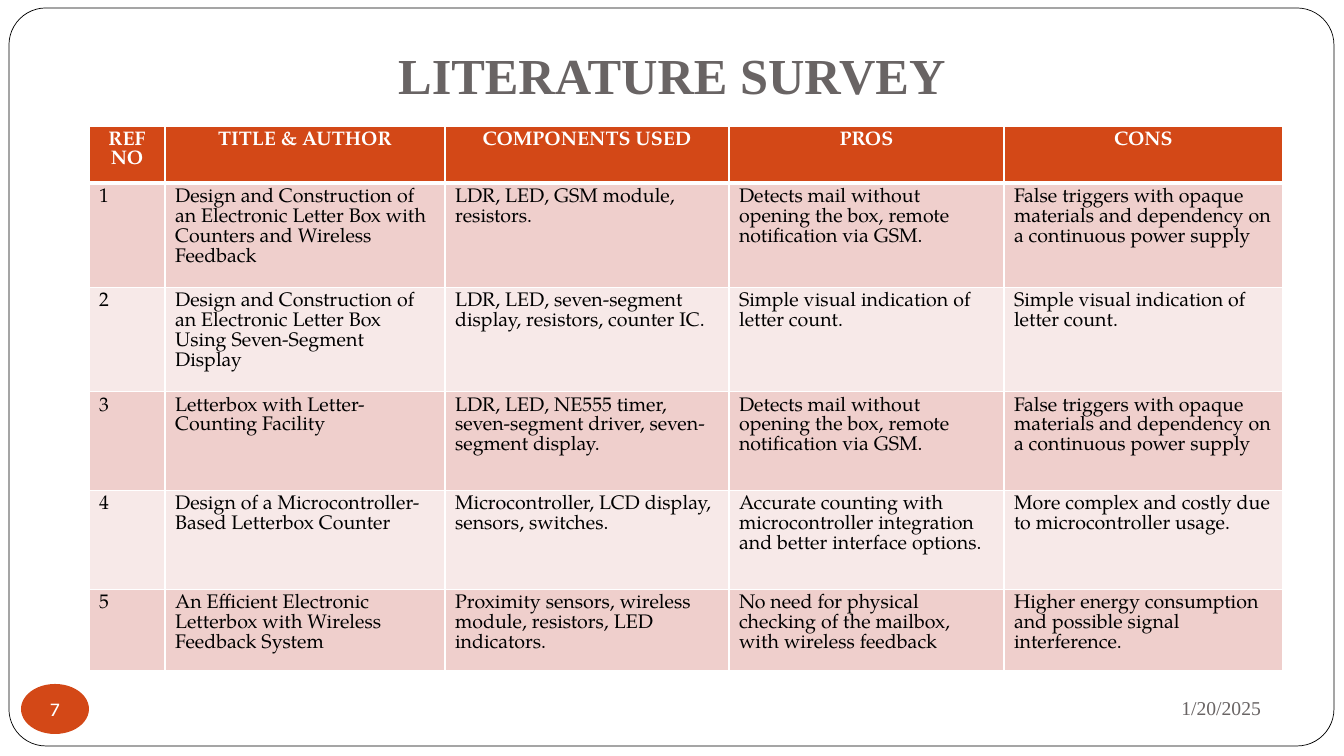
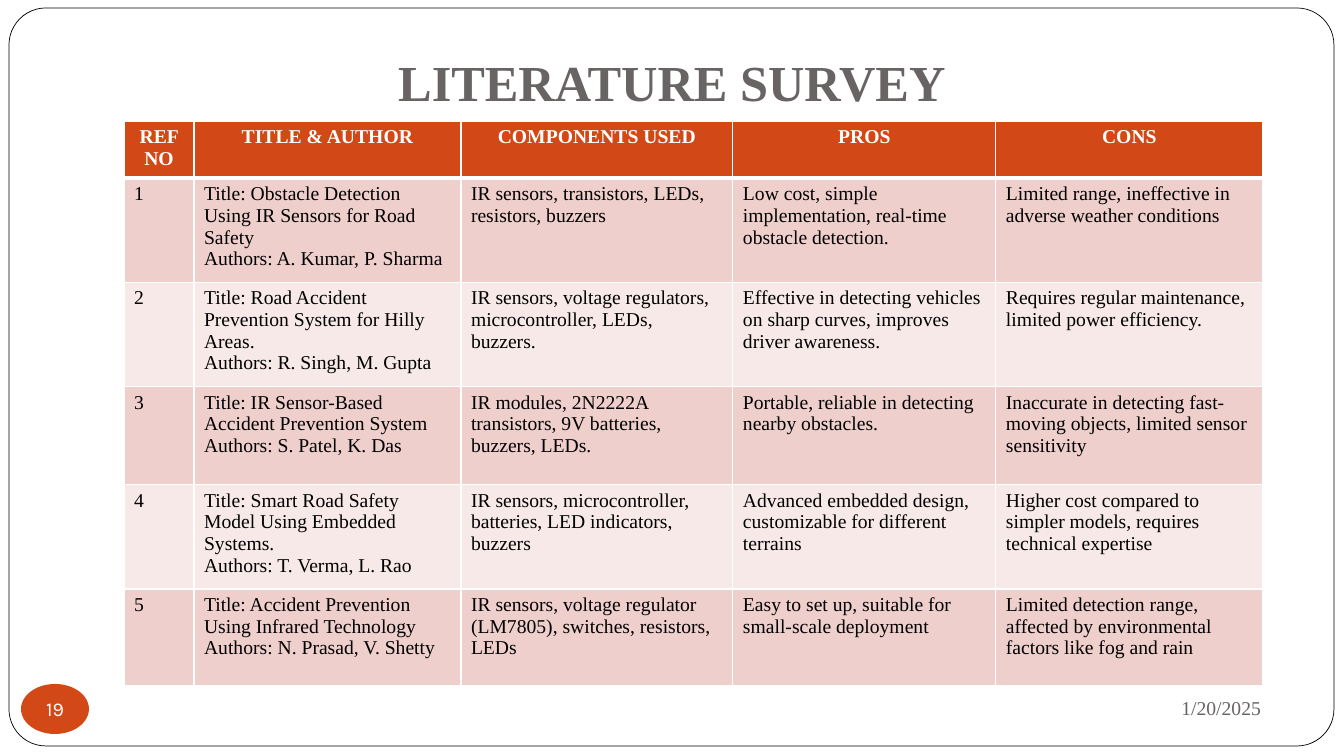
import pptx
import pptx.util
import pptx.dml.color
import pptx.enum.shapes
import pptx.enum.text
import pptx.oxml
import pptx.oxml.ns

PX = 12192000 / 1344
HUES = {"ink": "000000", "paper": "FFFFFF", "gray": "696464",
        "rust": "D34817", "rose": "EFCFCC", "blush": "F7E9E8"}
SERIF = "Times New Roman"
ALIGN = pptx.enum.text.PP_ALIGN
ANCHOR = pptx.enum.text.MSO_ANCHOR
SHAPE = pptx.enum.shapes.MSO_SHAPE
HEADS = ["REF NO", "TITLE & AUTHOR", "COMPONENTS USED", "PROS", "CONS"]

GSM_PRO = "Detects mail without opening the box, remote notification via GSM."
GSM_CON = "False triggers with opaque materials and dependency on a continuous power supply"
COUNT = "Simple visual indication of letter count."

PAGES = [
    {"page": "7", "base": 115, "font": "TeX Gyre Pagella", "left": 89, "top": 126,
     "cols": [76, 280, 284, 275, 279], "rows": [53, 99, 99, 99, 99, 76],
     "body": [
         ["Design and Construction of an Electronic Letter Box with Counters and Wireless Feedback",
          "LDR, LED, GSM module, resistors.", GSM_PRO, GSM_CON],
         ["Design and Construction of an Electronic Letter Box Using Seven-Segment Display",
          "LDR, LED, seven-segment display, resistors, counter IC.", COUNT, COUNT],
         ["Letterbox with Letter-Counting Facility",
          "LDR, LED, NE555 timer, seven-segment driver, seven-segment display.",
          GSM_PRO, GSM_CON],
         ["Design of a Microcontroller-Based Letterbox Counter",
          "Microcontroller, LCD display, sensors, switches.",
          "Accurate counting with microcontroller integration and better interface options.",
          "More complex and costly due to microcontroller usage."],
         ["An Efficient Electronic Letterbox with Wireless Feedback System",
          "Proximity sensors, wireless module, resistors, LED indicators.",
          "No need for physical checking of the mailbox, with wireless feedback",
          "Higher energy consumption and possible signal interference."],
     ]},
    {"page": "19", "base": 122, "font": SERIF, "left": 124, "top": 121,
     "cols": [70, 267, 272, 263, 267], "rows": [53, 99, 99, 98, 99, 97],
     "body": [
         ["Title: Obstacle Detection Using IR Sensors for Road Safety\nAuthors: A. Kumar, P. Sharma",
          "IR sensors, transistors, LEDs, resistors, buzzers",
          "Low cost, simple implementation, real-time obstacle detection.",
          "Limited range, ineffective in adverse weather conditions"],
         ["Title: Road Accident Prevention System for Hilly Areas.\nAuthors: R. Singh, M. Gupta",
          "IR sensors, voltage regulators, microcontroller, LEDs, buzzers.",
          "Effective in detecting vehicles on sharp curves, improves driver awareness.",
          "Requires regular maintenance, limited power efficiency."],
         ["Title: IR Sensor-Based Accident Prevention System\nAuthors: S. Patel, K. Das",
          "IR modules, 2N2222A transistors, 9V batteries, buzzers, LEDs.",
          "Portable, reliable in detecting nearby obstacles.",
          "Inaccurate in detecting fast-moving objects, limited sensor sensitivity"],
         ["Title: Smart Road Safety Model Using Embedded Systems.\nAuthors: T. Verma, L. Rao",
          "IR sensors, microcontroller, batteries, LED indicators, buzzers",
          "Advanced embedded design, customizable for different terrains",
          "Higher cost compared to simpler models, requires technical expertise"],
         ["Title: Accident Prevention Using Infrared Technology\nAuthors: N. Prasad, V. Shetty",
          "IR sensors, voltage regulator (LM7805), switches, resistors, LEDs",
          "Easy to set up, suitable for small-scale deployment",
          "Limited detection range, affected by environmental factors like fog and rain"],
     ]},
]


def emu(*spans):
    return [pptx.util.Emu(round(span * PX)) for span in spans]


def write(frame, text, font, hue, align, size=14, bold=False):
    frame.text = text
    for para in frame.paragraphs:
        para.alignment = align
        para.font.name = font
        para.font.size = pptx.util.Pt(size)
        para.font.bold = bold
        para.font.color.rgb = pptx.dml.color.RGBColor.from_string(HUES[hue])


deck = pptx.Presentation()
deck.slide_width, deck.slide_height = emu(1344, 756)

for page in PAGES:
    slide = deck.slides.add_slide(deck.slide_layouts[6])
    shapes = slide.shapes

    border = shapes.add_shape(SHAPE.ROUNDED_RECTANGLE, *emu(9, 8, 1325, 738))
    border.adjustments[0] = 0.05
    border.line.color.rgb = pptx.dml.color.RGBColor.from_string(HUES["ink"])
    border.line.width = pptx.util.Pt(0.5)
    badge = shapes.add_shape(SHAPE.OVAL, *emu(21, 684, 68, 50))
    badge.line.fill.background()
    for shape, hue in [(border, "paper"), (badge, "rust")]:
        shape.shadow.inherit = False
        shape.fill.solid()
        shape.fill.fore_color.rgb = pptx.dml.color.RGBColor.from_string(HUES[hue])

    frame = badge.text_frame
    frame.margin_left = frame.margin_right = frame.margin_top = frame.margin_bottom = 0
    frame.word_wrap = False
    frame.vertical_anchor = ANCHOR.MIDDLE
    write(frame, page["page"], "Karla", "paper", ALIGN.CENTER)

    title = shapes.add_textbox(*emu(101, page["base"] - 84, 1142, 84)).text_frame
    title.word_wrap = True
    title.vertical_anchor = ANCHOR.BOTTOM
    title.margin_bottom = emu(10)[0]
    write(title, "LITERATURE SURVEY", SERIF, "gray", ALIGN.CENTER, 36, True)

    date = shapes.add_textbox(*emu(907, 682, 364, 52)).text_frame
    date.word_wrap = True
    date.vertical_anchor = ANCHOR.MIDDLE
    write(date, "1/20/2025", SERIF, "gray", ALIGN.RIGHT)

    cols, rows = page["cols"], page["rows"]
    table = shapes.add_table(len(rows), len(cols), *emu(
        page["left"], page["top"], sum(cols), sum(rows))).table
    for col, width in zip(table.columns, emu(*cols)):
        col.width = width
    for row, height in zip(table.rows, emu(*rows)):
        row.height = height

    lines = [HEADS] + [[str(num)] + line for num, line in enumerate(page["body"], 1)]
    for r, line in enumerate(lines):
        head = r == 0
        fill = "rust" if head else ("blush", "rose")[r % 2]
        for c, text in enumerate(line):
            cell = table.cell(r, c)
            write(cell.text_frame, text, page["font"], "paper" if head else "ink",
                  ALIGN.CENTER if head else ALIGN.LEFT, bold=head)
            cell.fill.solid()
            cell.fill.fore_color.rgb = pptx.dml.color.RGBColor.from_string(HUES[fill])
            props = cell._tc.get_or_add_tcPr()
            for spot, side in enumerate("LRTB"):
                thick = (r, side) in [(0, "B"), (1, "T")]
                props.insert(spot, pptx.oxml.parse_xml(
                    f'<a:ln{side} {pptx.oxml.ns.nsdecls("a")} w="{38100 if thick else 12700}">'
                    f'<a:solidFill><a:srgbClr val="{HUES["paper"]}"/></a:solidFill></a:ln{side}>'))

deck.save("out.pptx")
